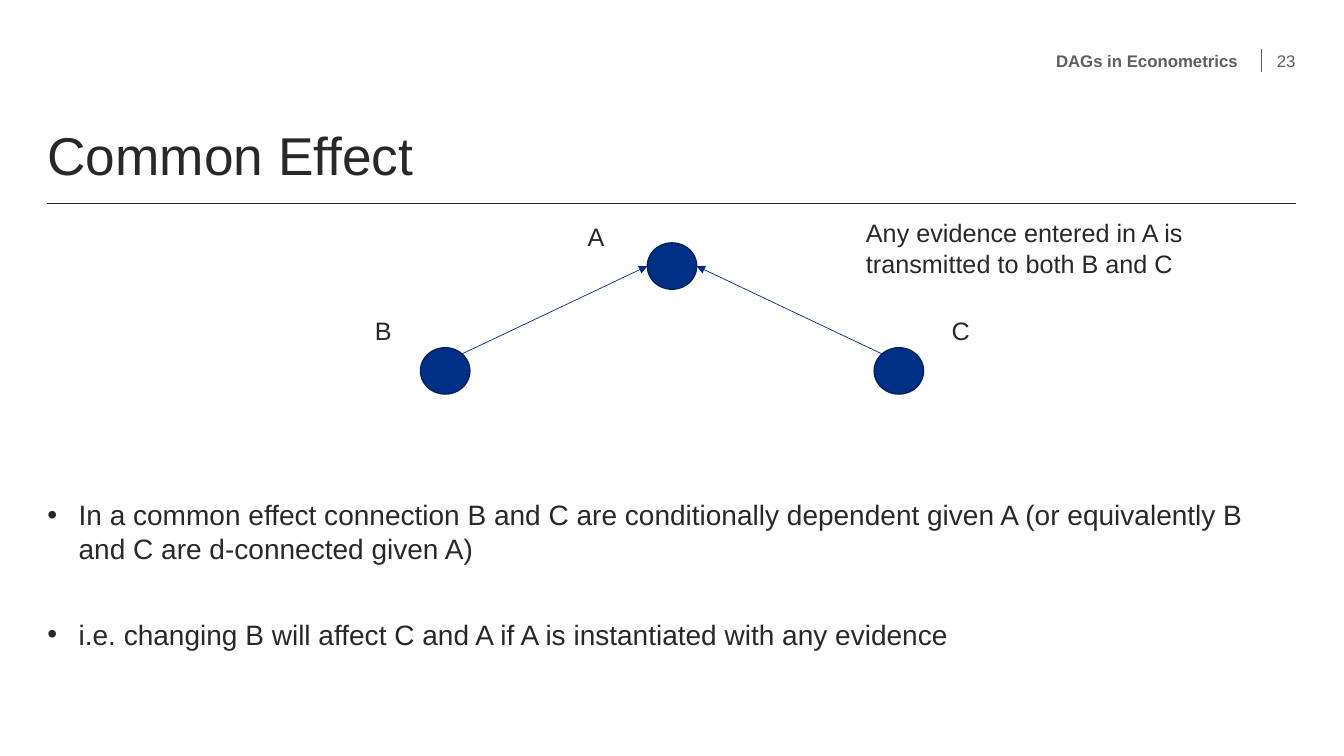
"""Build the slide on common effect connections in causal graphs."""
from lxml import etree
from pptx import Presentation
from pptx import util as u
from pptx.dml.color import RGBColor
from pptx.enum import shapes, text
from pptx.oxml import ns

INK, GREY, BLUE, NAVY = "282828", "5E5E5E", "002F86", "002363"
LEFT, WIDTH = 0.47, 12.38
RIGHT = LEFT + WIDTH
NODE_WIDTH, NODE_HEIGHT = 0.49, 0.46


def colour(value):
    return RGBColor.from_string(value)


def add_xml(parent, tag, **attributes):
    return etree.SubElement(parent, ns.qn(tag), attributes)


class SlideBuilder:
    def __init__(self, slide, font="Arial"):
        self.slide = slide
        self.font = font

    def place(self, shape, left, top, width, height):
        shape.left, shape.top = u.Inches(left), u.Inches(top)
        shape.width, shape.height = u.Inches(width), u.Inches(height)

    def frame(self, shape, anchor, margins=True):
        frame = shape.text_frame
        frame.word_wrap = True
        frame.auto_size = text.MSO_AUTO_SIZE.NONE
        frame.vertical_anchor = anchor
        if not margins:
            frame.margin_left = frame.margin_right = 0
            frame.margin_top = frame.margin_bottom = 0
        return frame

    def style(self, paragraph, size, ink=INK, bold=False):
        for run in paragraph.runs:
            run.font.name = self.font
            run.font.size = u.Pt(size)
            run.font.bold = bold
            run.font.color.rgb = colour(ink)

    def title(self, words):
        shape = self.slide.shapes.title
        self.place(shape, LEFT, 1.25, WIDTH, 0.61)
        frame = self.frame(shape, text.MSO_ANCHOR.BOTTOM, margins=False)
        frame.text = words
        paragraph = frame.paragraphs[0]
        paragraph.alignment = text.PP_ALIGN.LEFT
        paragraph.line_spacing = 0.9
        self.style(paragraph, 38)

    def bullets(self, items):
        shape = self.slide.placeholders[1]
        self.place(shape, LEFT, 4.94, WIDTH, 2.07)
        frame = self.frame(shape, text.MSO_ANCHOR.TOP, margins=False)
        frame.text = "\n".join(items)
        indent = u.Inches(0.31)
        for index, paragraph in enumerate(frame.paragraphs):
            properties = paragraph._p.get_or_add_pPr()
            properties.set("marL", str(indent))
            properties.set("indent", str(-indent))
            add_xml(properties, "a:buFont", typeface=self.font)
            add_xml(properties, "a:buChar", char="•")
            paragraph.space_before = u.Pt(37 if index else 0)
            self.style(paragraph, 20)

    def header(self, words, left, width, bold=False):
        shape = self.slide.shapes.add_textbox(0, 0, 0, 0)
        self.place(shape, left, 0.49, width, 0.23)
        frame = self.frame(shape, text.MSO_ANCHOR.MIDDLE, margins=False)
        frame.text = words
        frame.paragraphs[0].alignment = text.PP_ALIGN.RIGHT
        self.style(frame.paragraphs[0], 12, GREY, bold)

    def label(self, words, left, top, width=0.38, height=0.4):
        shape = self.slide.shapes.add_textbox(0, 0, 0, 0)
        self.place(shape, left, top, width, height)
        frame = self.frame(shape, text.MSO_ANCHOR.TOP)
        frame.text = words
        self.style(frame.paragraphs[0], 18)

    def node(self, left, top):
        shape = self.slide.shapes.add_shape(shapes.MSO_SHAPE.OVAL, 0, 0, 0, 0)
        self.place(shape, left, top, NODE_WIDTH, NODE_HEIGHT)
        shape.shadow.inherit = False
        shape.fill.solid()
        shape.fill.fore_color.rgb = colour(BLUE)
        shape.line.color.rgb = colour(NAVY)
        shape.line.width = u.Pt(1)

    def line(self, start, end, ink, width=1, arrow=False):
        points = [u.Inches(value) for value in (*start, *end)]
        connector = self.slide.shapes.add_connector(
            shapes.MSO_CONNECTOR.STRAIGHT, *points)
        connector.line.color.rgb = colour(ink)
        connector.line.width = u.Pt(width)
        if arrow:
            add_xml(connector.line._get_or_add_ln(), "a:tailEnd", type="triangle")
        add_xml(connector._element.spPr, "a:effectLst")


def main():
    presentation = Presentation()
    presentation.slide_width = u.Inches(13.33)
    presentation.slide_height = u.Inches(7.5)
    slide = presentation.slides.add_slide(presentation.slide_layouts[1])
    builder = SlideBuilder(slide)

    builder.line((LEFT, 2.02), (RIGHT, 2.02), INK)
    builder.line((12.51, 0.71), (12.51, 0.49), GREY)
    builder.title("Common Effect")
    builder.header("DAGs in Econometrics", 4.42, 7.86, bold=True)
    builder.header("23", 12.56, 0.29)
    builder.bullets([
        "In a common effect connection B and C are conditionally dependent "
        "given A (or equivalently B and C are d-connected given A)",
        "i.e. changing B will affect C and A if A is instantiated with any evidence",
    ])

    effect_left, effect_top = 6.42, 2.41
    centre = effect_left + NODE_WIDTH / 2
    builder.node(effect_left, effect_top)
    builder.label("A", 5.73, 2.15)
    for name, side, label_left in (("B", -1, 3.62), ("C", 1, 9.34)):
        builder.node(effect_left + side * 2.25, 3.45)
        builder.label(name, label_left, 3.08)
        builder.line((centre + side * 2.08, 3.51),
                     (centre + side * NODE_WIDTH / 2, effect_top + NODE_HEIGHT / 2),
                     BLUE, 0.5, arrow=True)
    builder.label("Any evidence entered in A is transmitted to both B and C",
                  8.49, 2.11, 4.42, 0.71)
    presentation.save("out.pptx")


if __name__ == "__main__":
    main()
